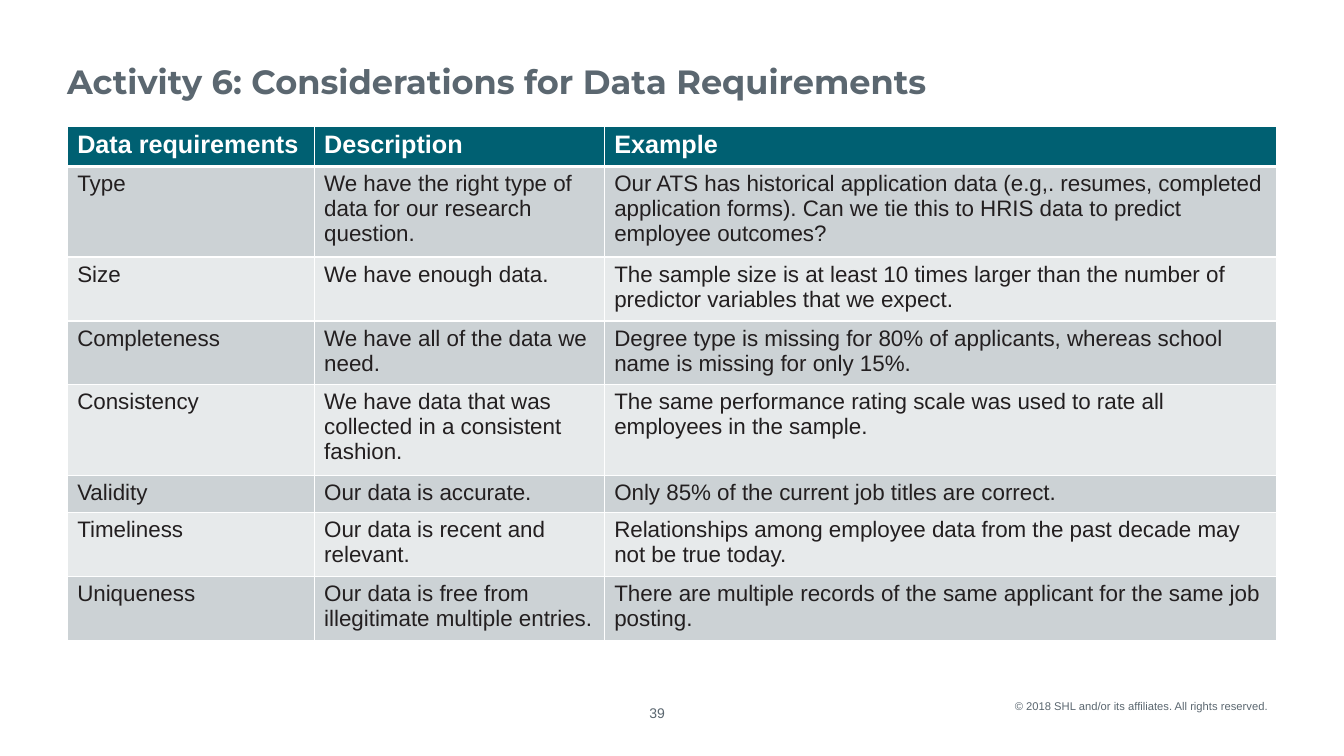
from lxml import etree
from pptx import Presentation
from pptx.dml.color import RGBColor
from pptx.enum import text
from pptx.oxml import ns
from pptx.util import Pt

COLORS = {"teal": "006072", "slate": "5B6770", "ink": "231F20", "white": "FFFFFF",
          "dark_band": "CCD2D5", "light_band": "E7EAEB"}
ALIGN, ANCHOR = text.PP_ALIGN, text.MSO_ANCHOR


def write(frame, words, size, color, bold=False, name="Arial", align=ALIGN.LEFT, spacing=None):
    frame.word_wrap = True
    paragraph = frame.paragraphs[0]
    paragraph.alignment = align
    if spacing:
        paragraph.line_spacing = Pt(spacing)
    run = paragraph.add_run()
    run.text = words
    for key, value in {"size": Pt(size), "bold": bold, "name": name}.items():
        setattr(run.font, key, value)
    run.font.color.rgb = RGBColor.from_string(COLORS[color])


def add_border(cell, side, width):
    properties = cell._tc.get_or_add_tcPr()
    line = etree.Element(ns.qn(f"a:ln{side}"), w=str(Pt(width)))
    fill = etree.SubElement(line, ns.qn("a:solidFill"))
    etree.SubElement(fill, ns.qn("a:srgbClr"), val=COLORS["white"])
    properties.insert("LRTB".index(side), line)


presentation = Presentation()
presentation.slide_width, presentation.slide_height = Pt(960), Pt(540)
slide = presentation.slides.add_slide(presentation.slide_layouts[6])

# Title, page number and copyright line: box, insets, anchor, text format
labels = [
    ("39", (450.7, 506.2, 37.4, 10.8), (0, 0, 0, 0), ANCHOR.TOP,
     {"size": 10, "align": ALIGN.CENTER, "spacing": 9}),
    ("Activity 6: Considerations for Data Requirements", (48, 28.8, 864, 46.8),
     (0, 3.6, 7.2, 3.6), ANCHOR.BOTTOM, {"size": 24, "bold": True, "name": "Montserrat"}),
    ("© 2018 SHL and/or its affiliates. All rights reserved.", (720, 487.4, 193, 35.3),
     (0, 3.6, 7.2, 3.6), ANCHOR.MIDDLE, {"size": 8, "align": ALIGN.RIGHT, "spacing": 8}),
]
for words, box, insets, anchor, style in labels:
    frame = slide.shapes.add_textbox(*map(Pt, box)).text_frame
    for side, inset in zip(("left", "top", "right", "bottom"), insets):
        setattr(frame, f"margin_{side}", Pt(inset))
    frame.vertical_anchor = anchor
    write(frame, words, color="slate", **style)

# Table content, with the number of text lines in each row
rows = [
    (1, "Data requirements", "Description", "Example"),
    (3, "Type", "We have the right type of data for our research question.",
     "Our ATS has historical application data (e.g,. resumes, completed application forms). "
     "Can we tie this to HRIS data to predict employee outcomes?"),
    (2, "Size", "We have enough data.",
     "The sample size is at least 10 times larger than the number of predictor variables "
     "that we expect."),
    (2, "Completeness", "We have all of the data we need.",
     "Degree type is missing for 80% of applicants, whereas school name is missing for "
     "only 15%."),
    (3, "Consistency", "We have data that was collected in a consistent fashion.",
     "The same performance rating scale was used to rate all employees in the sample."),
    (1, "Validity", "Our data is accurate.", "Only 85% of the current job titles are correct."),
    (2, "Timeliness", "Our data is recent and relevant.",
     "Relationships among employee data from the past decade may not be true today."),
    (2, "Uniqueness", "Our data is free from illegitimate multiple entries.",
     "There are multiple records of the same applicant for the same job posting."),
]
column_widths = (176.4, 207.2, 480.4)
header_height, line_height, cell_padding = 27.3, 17.8, 7.2
row_heights = [header_height] + [cell_padding + line_height * row[0] for row in rows[1:]]

# Table
table = slide.shapes.add_table(len(rows), len(column_widths), Pt(48), Pt(90),
                               Pt(sum(column_widths)), Pt(sum(row_heights))).table
for column, width in zip(table.columns, column_widths):
    column.width = Pt(width)
for index, (lines, *entries) in enumerate(rows):
    table.rows[index].height = Pt(row_heights[index])
    is_header = index == 0
    band = "teal" if is_header else ("light_band", "dark_band")[index % 2]
    for cell, words in zip(table.rows[index].cells, entries):
        cell.fill.solid()
        cell.fill.fore_color.rgb = RGBColor.from_string(COLORS[band])
        for side in "LRTB":
            thick = (is_header and side == "B") or (index == 1 and side == "T")
            add_border(cell, side, 3 if thick else 1)
        write(cell.text_frame, words, 18 if is_header else 16,
              "white" if is_header else "ink", bold=is_header)

presentation.save("out.pptx")
